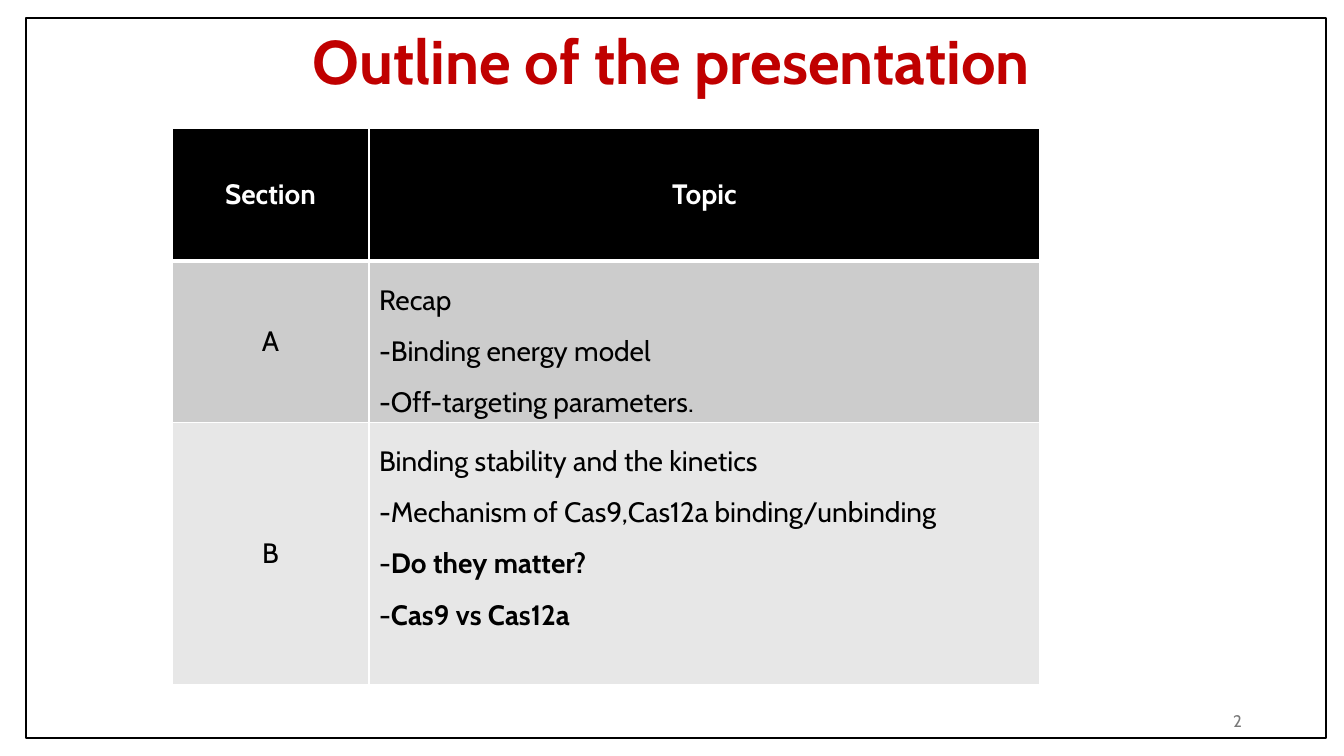
from lxml import etree
from pptx import Presentation, util as u
from pptx.dml.color import RGBColor
from pptx.enum import shapes, text
from pptx.oxml.ns import qn

PX = 12192000 / 1344
LEFT, MID, RIGHT = text.PP_ALIGN.LEFT, text.PP_ALIGN.CENTER, text.PP_ALIGN.RIGHT
TOP, CENTRE = text.MSO_ANCHOR.TOP, text.MSO_ANCHOR.MIDDLE

HEAD = ["Section", "Topic"]
ROWS = [
    ("A", "CCCCCC", ["Recap", "-Binding energy model",
                     "-Off-targeting parameters."]),
    ("B", "E7E7E7", ["Binding stability and the kinetics",
                     "-Mechanism of Cas9,Cas12a binding/unbinding",
                     "-|Do they matter?", "-|Cas9 vs Cas12a"]),
]


def px(n):
    return u.Emu(round(n * PX))


def rgb(code):
    return RGBColor.from_string(code)


def write(frame, lines, size=20, color="000000", bold=False, align=LEFT,
          space=None):
    """Fill a text frame; the part of a line after a bar is bold."""
    for i, line in enumerate(lines):
        para = frame.add_paragraph() if i else frame.paragraphs[0]
        para.alignment = align
        para.line_spacing = space
        for j, part in enumerate(line.split("|")):
            run = para.add_run()
            run.text = part
            run.font.name = "Cabin"
            run.font.size = u.Pt(size)
            run.font.bold = bold or j > 0
            run.font.color.rgb = rgb(color)


def label(slide, box, line, anchor=TOP, **form):
    frame = slide.shapes.add_textbox(*map(px, box)).text_frame
    frame.word_wrap = True
    frame.vertical_anchor = anchor
    write(frame, [line], **form)


def edge(cell, widths):
    """Draw white borders, with widths in points by side."""
    props = cell._tc.get_or_add_tcPr()
    for i, (side, width) in enumerate(widths.items()):
        line = etree.Element(qn("a:ln" + side), w=str(u.Pt(width)))
        fill = etree.SubElement(line, qn("a:solidFill"))
        etree.SubElement(fill, qn("a:srgbClr"), val="FFFFFF")
        props.insert(i, line)


def style(cell, fill, lines, anchor=CENTRE, top=1, base=1, **form):
    cell.fill.solid()
    cell.fill.fore_color.rgb = rgb(fill)
    cell.vertical_anchor = anchor
    edge(cell, {"L": 1, "R": 1, "T": top, "B": base})
    write(cell.text_frame, lines, **form)


def outline(slide, box):
    x, y, w, h = box
    grid = slide.shapes.add_table(len(ROWS) + 1, 2, *map(px, box)).table
    first, second = 133, 161
    for row, high in zip(grid.rows, (first, second, h - first - second)):
        row.height = px(high)
    side = 197
    for col, wide in zip(grid.columns, (side, w - side)):
        col.width = px(wide)
    for c, name in enumerate(HEAD):
        style(grid.cell(0, c), "000000", [name], base=3, color="FFFFFF",
              bold=True, align=MID)
    for r, (name, fill, topics) in enumerate(ROWS, 1):
        top = 3 if r == 1 else 1
        style(grid.cell(r, 0), fill, [name], top=top, align=MID)
        style(grid.cell(r, 1), fill, topics, anchor=TOP, top=top, space=1.5)


def border(slide, box):
    rect = slide.shapes.add_shape(shapes.MSO_SHAPE.RECTANGLE, *map(px, box))
    rect.shadow.inherit = False
    rect.fill.background()
    rect.line.color.rgb = rgb("000000")
    rect.line.width = u.Pt(1.5)


def main():
    deck = Presentation()
    deck.slide_width, deck.slide_height = px(1344), px(756)
    slide = deck.slides.add_slide(deck.slide_layouts[6])
    label(slide, (172, 18, 999, 85), "Outline of the presentation",
          size=44, color="C00000", bold=True, align=MID)
    outline(slide, (172, 128, 868, 556))
    border(slide, (26, 18, 1300, 720))
    label(slide, (950, 701, 302, 40), "2", anchor=CENTRE, size=12,
          color="797979", align=RIGHT)
    deck.save("out.pptx")


if __name__ == "__main__":
    main()
